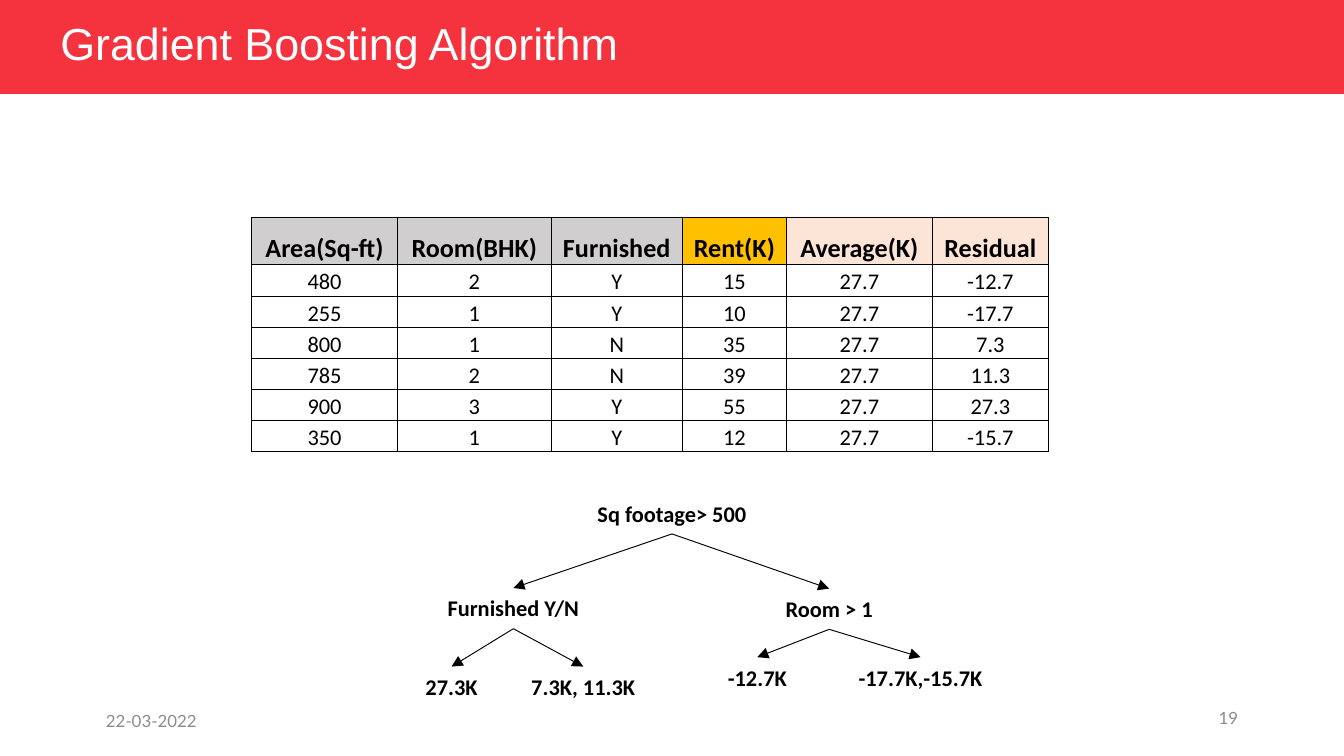
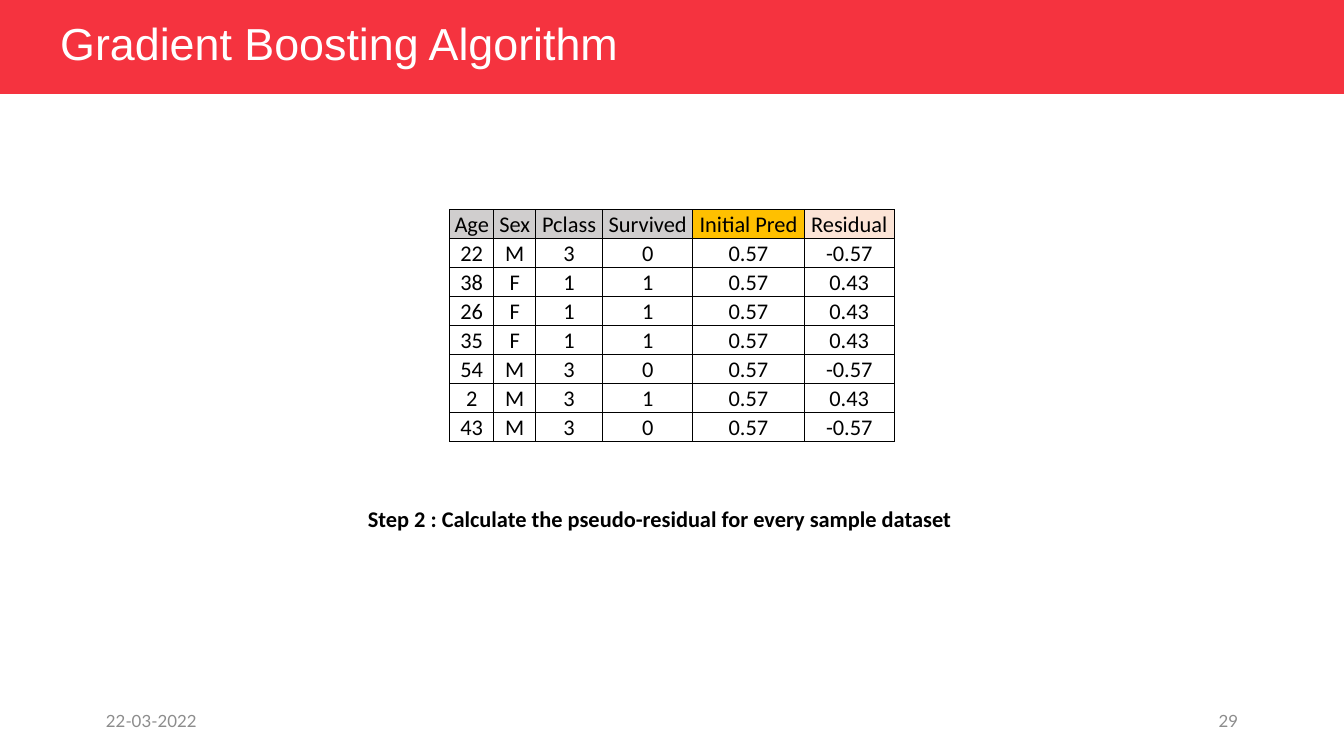
from dataclasses import dataclass

from lxml.etree import SubElement
from pptx import Presentation
from pptx.dml.color import RGBColor
from pptx.enum.shapes import MSO_CONNECTOR, MSO_SHAPE
from pptx.enum.text import MSO_ANCHOR, MSO_AUTO_SIZE, PP_ALIGN
from pptx.oxml.ns import qn
from pptx.util import Inches, Pt


@dataclass(frozen=True)
class Theme:
    red: str = "F5333F"
    white: str = "FFFFFF"
    black: str = "000000"
    muted: str = "8C8C8C"
    grey: str = "D0CECE"
    amber: str = "FFC000"
    peach: str = "FCE4D6"
    title_font: str = "Arial"
    body_font: str = "Calibri"
    footer_font: str = "Lato"
    title_size: float = 24
    header_size: float = 14
    body_size: float = 12
    footer_size: float = 9
    line_width: float = 0.5


THEME = Theme()
COLS, ROWS = 100, 56.25  # grid of square cells covering the slide
CELL = Inches(0.1)
LABEL_H = 3.03

RENT_TABLE = [
    ["Area(Sq-ft)", "Room(BHK)", "Furnished", "Rent(K)", "Average(K)", "Residual"],
    ["480", "2", "Y", "15", "27.7", "-12.7"],
    ["255", "1", "Y", "10", "27.7", "-17.7"],
    ["800", "1", "N", "35", "27.7", "7.3"],
    ["785", "2", "N", "39", "27.7", "11.3"],
    ["900", "3", "Y", "55", "27.7", "27.3"],
    ["350", "1", "Y", "12", "27.7", "-15.7"],
]

SURVIVAL_TABLE = [
    ["Age", "Sex", "Pclass", "Survived", "Initial Pred", "Residual"],
    ["22", "M", "3", "0", "0.57", "-0.57"],
    ["38", "F", "1", "1", "0.57", "0.43"],
    ["26", "F", "1", "1", "0.57", "0.43"],
    ["35", "F", "1", "1", "0.57", "0.43"],
    ["54", "M", "3", "0", "0.57", "-0.57"],
    ["2", "M", "3", "1", "0.57", "0.43"],
    ["43", "M", "3", "0", "0.57", "-0.57"],
]

# Each node: text, centre column, top row, width, children
SPLIT_W, SINGLE_W, PAIR_W = 19.6, 7.9, 11.7
RENT_TREE = ("Sq footage> 500", 50, 36.7, SPLIT_W, [
    ("Furnished Y/N", 38.2, 43.75, SPLIT_W, [
        ("27.3K", 33.6, 49.6, SINGLE_W, []),
        ("7.3K, 11.3K", 43.4, 49.6, PAIR_W, []),
    ]),
    ("Room > 1", 61.7, 43.8, SPLIT_W, [
        ("-12.7K", 56.35, 48.9, SINGLE_W, []),
        ("-17.7K,-15.7K", 68.5, 48.9, PAIR_W, []),
    ]),
])


def grid(*cells):
    return [round(c * CELL) for c in cells]


def rgb(colour):
    return RGBColor.from_string(colour)


def style(p, font, size, colour, align=PP_ALIGN.LEFT, bold=False):
    p.alignment = align
    p.font.name = font
    p.font.size = Pt(size)
    p.font.bold = bold
    p.font.color.rgb = rgb(colour)


def add_text(slide, text, box, *look, anchor=MSO_ANCHOR.MIDDLE):
    sp = slide.shapes.add_textbox(*grid(*box))
    tf = sp.text_frame
    tf.word_wrap = True
    tf.vertical_anchor = anchor
    p = tf.paragraphs[0]
    p.text = text
    style(p, *look)
    return sp


def add_label(slide, text, centre, top, width):
    sp = add_text(slide, text, (centre - width / 2, top, width, LABEL_H),
                  THEME.body_font, THEME.body_size, THEME.black,
                  PP_ALIGN.CENTER, True, anchor=MSO_ANCHOR.TOP)
    sp.text_frame.auto_size = MSO_AUTO_SIZE.SHAPE_TO_FIT_TEXT
    return sp


def add_arrow(slide, parent, child):
    """Join the bottom of parent to the top of child."""
    line = slide.shapes.add_connector(MSO_CONNECTOR.STRAIGHT, 0, 0, 0, 0)
    line.begin_connect(parent, 2)
    line.end_connect(child, 0)
    line.line.color.rgb = rgb(THEME.black)
    line.line.width = Pt(THEME.line_width)
    sp_pr = line._element.spPr
    SubElement(sp_pr.find(qn("a:ln")), qn("a:tailEnd"), type="triangle")
    SubElement(sp_pr, qn("a:effectLst"))


def add_tree(slide, node):
    text, centre, top, width, children = node
    sp = add_label(slide, text, centre, top, width)
    for child in children:
        add_arrow(slide, sp, add_tree(slide, child))
    return sp


def add_borders(cell):
    tc_pr = cell._tc.get_or_add_tcPr()
    for side in ("a:lnL", "a:lnR", "a:lnT", "a:lnB"):
        ln = SubElement(tc_pr, qn(side), w=str(Pt(THEME.line_width)))
        fill = SubElement(ln, qn("a:solidFill"))
        SubElement(fill, qn("a:srgbClr"), val=THEME.black)


def fill_cell(cell, text, size, bold, fill):
    cell.margin_left = cell.margin_right = cell.margin_top = Inches(0.01)
    cell.margin_bottom = 0
    cell.vertical_anchor = MSO_ANCHOR.BOTTOM
    p = cell.text_frame.paragraphs[0]
    p.text = text
    style(p, THEME.body_font, size, THEME.black, PP_ALIGN.CENTER, bold)
    add_borders(cell)
    if fill:
        cell.fill.solid()
        cell.fill.fore_color.rgb = rgb(fill)
    else:
        cell.fill.background()


def add_data_table(slide, data, left, top, widths, heights, fills, header_size, header_bold):
    """Place data at a grid cell; heights are those of the header and of a body row."""
    header_h, body_h = heights
    row_heights = [header_h] + [body_h] * (len(data) - 1)
    table = slide.shapes.add_table(
        len(data), len(widths), *grid(left, top, sum(widths), sum(row_heights))).table
    table.first_row = table.horz_banding = False
    for column, width in zip(table.columns, grid(*widths)):
        column.width = width
    for i, (row, height) in enumerate(zip(table.rows, grid(*row_heights))):
        row.height = height
        for cell, text, fill in zip(row.cells, data[i], fills):
            if i == 0:
                fill_cell(cell, text, header_size, header_bold, fill)
            else:
                fill_cell(cell, text, THEME.body_size, False, None)


def add_base_slide(prs, number, title_w, number_top):
    """Add a slide with the red band, title, date and slide number."""
    slide = prs.slides.add_slide(prs.slide_layouts[6])
    band = slide.shapes.add_shape(MSO_SHAPE.RECTANGLE, *grid(0, 0, COLS, 7))
    band.shadow.inherit = False
    band.fill.solid()
    band.fill.fore_color.rgb = rgb(THEME.red)
    band.line.fill.background()
    footer = THEME.footer_font, THEME.footer_size, THEME.muted
    add_text(slide, "22-03-2022", (6.9, 52.1, 22.5, 3), *footer)
    add_text(slide, number, (70.6, number_top, 22.5, 3), *footer, PP_ALIGN.RIGHT)
    title = add_text(slide, "Gradient Boosting Algorithm", (3.5, 1.3, title_w, 4.2),
                     THEME.title_font, THEME.title_size, THEME.white)
    title.text_frame.paragraphs[0].line_spacing = 0.9
    return slide


def add_rent_slide(prs):
    slide = add_base_slide(prs, "19", 72.1, 51.9)
    fills = [THEME.grey] * 3 + [THEME.amber] + [THEME.peach] * 2
    add_data_table(slide, RENT_TABLE, 18.7, 16.2, [10.9, 11.4, 9.8, 7.7, 10.9, 8.6],
                   (3.5, 2.32), fills, THEME.header_size, True)
    add_tree(slide, RENT_TREE)


def add_survival_slide(prs):
    slide = add_base_slide(prs, "29", 64, 52.1)
    fills = [THEME.grey] * 4 + [THEME.amber, THEME.peach]
    add_data_table(slide, SURVIVAL_TABLE, 33.45, 15.6, [3.3, 3.1, 5, 6.7, 8.3, 6.7],
                   (2.16, 2.16), fills, THEME.body_size, False)
    add_label(slide, "Step 2 : Calculate the pseudo-residual for every sample dataset",
              49.1, 37.1, 81.1)


def main():
    prs = Presentation()
    prs.slide_width, prs.slide_height = grid(COLS, ROWS)
    add_rent_slide(prs)
    add_survival_slide(prs)
    prs.save("out.pptx")


if __name__ == "__main__":
    main()
